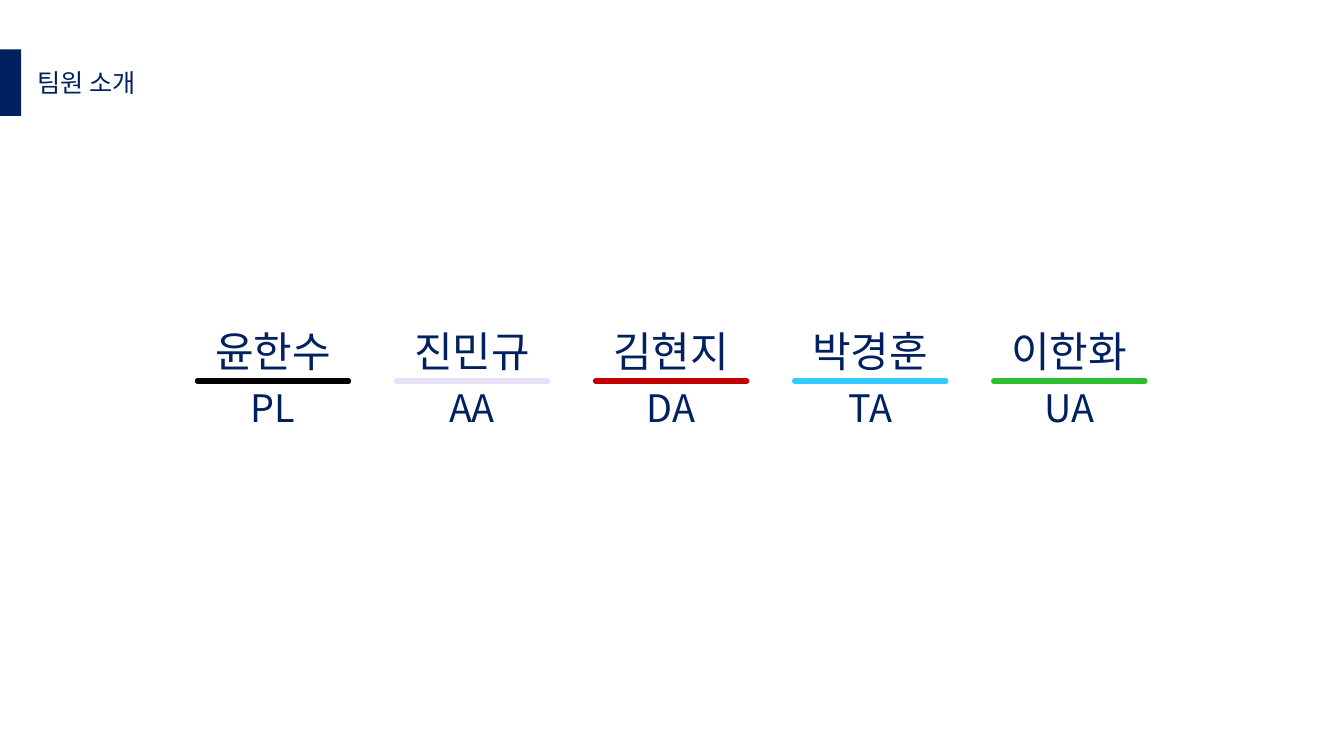
from pptx import Presentation, util as u
from pptx.dml.color import RGBColor
from pptx.enum import shapes, text
from pptx.oxml.ns import qn
from lxml import etree

Pt = u.Pt


def color(value):
    return RGBColor.from_string(value)


class TeamSlide:
    """Hold the slide and its style, and draw each kind of element."""

    font = "Noto Sans CJK KR"
    navy = "002060"

    def __init__(self, presentation):
        self.slide = presentation.slides.add_slide(presentation.slide_layouts[6])

    def bar(self, left, top, width, height):
        shape = self.slide.shapes.add_shape(
            shapes.MSO_SHAPE.RECTANGLE, Pt(left), Pt(top), Pt(width), Pt(height))
        shape.shadow.inherit = False
        shape.fill.solid()
        shape.fill.fore_color.rgb = color(self.navy)
        shape.line.fill.background()

    def label(self, words, left, top, width, height, size, align=text.PP_ALIGN.CENTER):
        shape = self.slide.shapes.add_textbox(Pt(left), Pt(top), Pt(width), Pt(height))
        frame = shape.text_frame
        frame.text = words
        frame.word_wrap = False
        frame.auto_size = text.MSO_AUTO_SIZE.SHAPE_TO_FIT_TEXT
        paragraph = frame.paragraphs[0]
        paragraph.alignment = align
        for run in paragraph.runs:
            run.font.size = Pt(size)
            run.font.name = self.font
            run.font.color.rgb = color(self.navy)
            east_asian = etree.SubElement(run.font._element, qn("a:ea"))
            east_asian.set("typeface", self.font)

    def rule(self, left, top, width, line_color):
        connector = self.slide.shapes.add_connector(
            shapes.MSO_CONNECTOR.STRAIGHT, Pt(left), Pt(top), Pt(left + width), Pt(top))
        connector.line.width = Pt(3.75)
        connector.line.color.rgb = color(line_color)
        connector.line._ln.set("cap", "rnd")
        etree.SubElement(connector._element.spPr, qn("a:effectLst"))

    def member(self, left, name, role, line_color):
        width = 108
        self.label(role, left + 27, 271.4, width - 54, 40.3, 27)
        self.rule(left, 272.2, width, line_color)
        self.label(name, left + 5, 229, width - 10, 43.9, 30)


def main():
    presentation = Presentation()
    presentation.slide_width, presentation.slide_height = Pt(960), Pt(540)
    team = TeamSlide(presentation)
    members = [
        ("윤한수", "PL", "000000"),
        ("진민규", "AA", "E8E0F7"),
        ("김현지", "DA", "C00000"),
        ("박경훈", "TA", "33CAFF"),
        ("이한화", "UA", "2CBE2F"),
    ]
    for index, member in enumerate(members):
        team.member(141 + 142.2 * index, *member)
    team.bar(0, 35.3, 15.1, 47.5)
    team.label("팀원 소개", 19.6, 44.6, 87.8, 29.1, 18, text.PP_ALIGN.LEFT)
    presentation.save("out.pptx")


if __name__ == "__main__":
    main()
